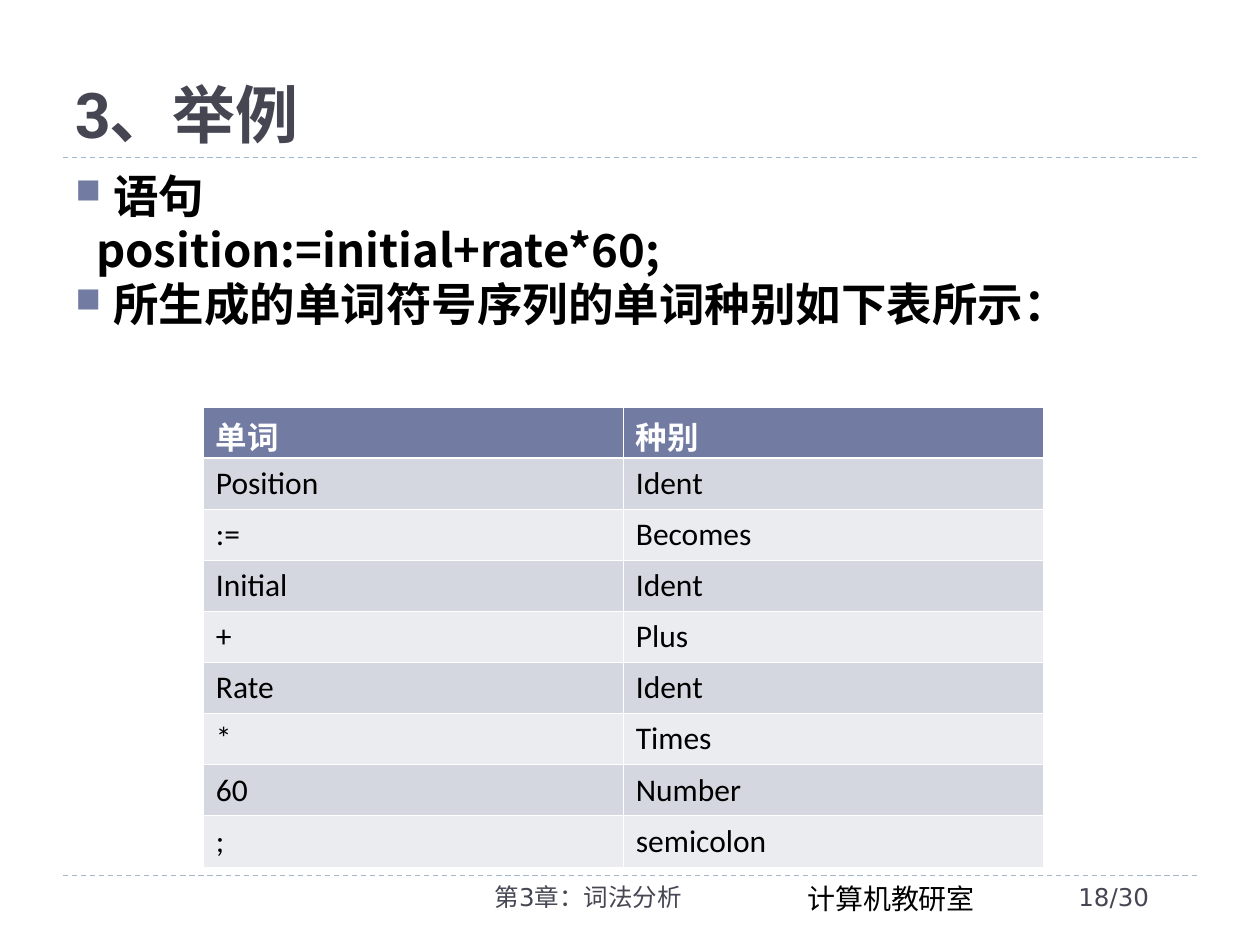
from dataclasses import dataclass

from lxml import etree
from pptx import Presentation
from pptx.dml.color import RGBColor
from pptx.enum.dml import MSO_LINE
from pptx.enum.shapes import MSO_CONNECTOR
from pptx.enum.text import MSO_ANCHOR, MSO_AUTO_SIZE, PP_ALIGN
from pptx.oxml.ns import qn
from pptx.util import Pt

STRAIGHT = MSO_CONNECTOR.STRAIGHT
DASH = MSO_LINE.DASH
BOTTOM = MSO_ANCHOR.BOTTOM
NO_FIT = MSO_AUTO_SIZE.NONE
LEFT, CENTER = PP_ALIGN.LEFT, PP_ALIGN.CENTER

TOKENS = [
    ("单词", "种别"),
    ("Position", "Ident"),
    (":=", "Becomes"),
    ("Initial", "Ident"),
    ("+", "Plus"),
    ("Rate", "Ident"),
    ("*", "Times"),
    ("60", "Number"),
    (";", "semicolon"),
]


@dataclass(frozen=True)
class Theme:
    ink: str = "000000"
    white: str = "FFFFFF"
    muted: str = "464653"
    accent: str = "727CA3"
    rule: str = "9FB8CD"
    bands: tuple = ("D5D7E0", "EBECF0")
    title_size: float = 36
    body_size: float = 26
    cell_size: float = 18
    office_size: float = 16
    footer_size: float = 14
    title_font: str = "Roboto Slab"
    body_font: str = "Noto Sans CJK SC"
    cell_font: str = "Calibri"
    office_font: str = "Times New Roman"
    footer_font: str = "DejaVu Sans"


def write(p, text, *, size, font, color, bold=False, align=LEFT):
    p.alignment = align
    r = p.add_run()
    r.text = text
    r.font.size = Pt(size)
    r.font.name = font
    r.font.bold = bold
    r.font.color.rgb = RGBColor.from_string(color)
    ea = etree.SubElement(r.font._element, qn("a:ea"))
    ea.set("typeface", Theme.body_font)


class SlideBuilder:
    """Adds styled elements to the current slide."""

    def __init__(self, slide, theme):
        self.slide = slide
        self.theme = theme

    def place(self, sp, left, top, width, height):
        sp.left, sp.top, sp.width, sp.height = map(Pt, (left, top, width, height))

    def title(self, text, box):
        t = self.theme
        sp = self.slide.shapes.title
        self.place(sp, *box)
        tf = sp.text_frame
        tf.auto_size = NO_FIT
        tf.vertical_anchor = BOTTOM
        write(tf.paragraphs[0], text, size=t.title_size, font=t.title_font,
              color=t.muted, bold=True)

    def rule(self, y):
        line = self.slide.shapes.add_connector(STRAIGHT, Pt(36), Pt(y), Pt(684), Pt(y))
        line.line.color.rgb = RGBColor.from_string(self.theme.rule)
        line.line.width = Pt(0.75)
        line.line.dash_style = DASH
        etree.SubElement(line._element.spPr, qn("a:effectLst"))

    def text_box(self, box):
        tf = self.slide.shapes.add_textbox(*map(Pt, box)).text_frame
        tf.word_wrap = True
        return tf

    def label(self, text, box, **fmt):
        write(self.text_box(box).paragraphs[0], text, **fmt)

    def body(self, items, box):
        t = self.theme
        tf = self.text_box(box)
        for i, (text, bulleted) in enumerate(items):
            p = tf.add_paragraph() if i else tf.paragraphs[0]
            p.line_spacing = 0.9
            p.space_after = Pt(3)
            write(p, text, size=t.body_size, font=t.body_font, color=t.ink, bold=True)
            self.indent(p, bulleted)

    def indent(self, p, bulleted):
        pPr = p._p.get_or_add_pPr()
        pPr.set("marL", str(Pt(21.6 if bulleted else 12)))
        pPr.set("indent", str(Pt(-21.6 if bulleted else 0)))
        if bulleted:
            clr = etree.SubElement(pPr, qn("a:buClr"))
            etree.SubElement(clr, qn("a:srgbClr")).set("val", self.theme.accent)
            etree.SubElement(pPr, qn("a:buSzPct")).set("val", "76000")
            etree.SubElement(pPr, qn("a:buChar")).set("char", "■")
        else:
            etree.SubElement(pPr, qn("a:buNone"))

    def table(self, rows, box):
        t = self.theme
        shapes = self.slide.shapes
        table = shapes.add_table(len(rows), len(rows[0]), *map(Pt, box)).table
        for i, row in enumerate(rows):
            header = i == 0
            fill = t.accent if header else t.bands[(i - 1) % 2]
            for j, text in enumerate(row):
                cell = table.cell(i, j)
                self.borders(cell, top=1.47 if i == 1 else 0.45,
                             bottom=1.47 if header else 0.45)
                cell.fill.solid()
                cell.fill.fore_color.rgb = RGBColor.from_string(fill)
                write(cell.text_frame.paragraphs[0], text, size=t.cell_size,
                      font=t.cell_font, color=t.white if header else t.ink,
                      bold=header)

    def borders(self, cell, top, bottom):
        tcPr = cell._tc.get_or_add_tcPr()
        for side, width in (("L", 0.45), ("R", 0.45), ("T", top), ("B", bottom)):
            ln = etree.SubElement(tcPr, qn(f"a:ln{side}"))
            ln.set("w", str(Pt(width)))
            fill = etree.SubElement(ln, qn("a:solidFill"))
            etree.SubElement(fill, qn("a:srgbClr")).set("val", self.theme.white)


def main():
    prs = Presentation()
    prs.slide_width, prs.slide_height = Pt(720), Pt(540)
    theme = Theme()
    s = SlideBuilder(prs.slides.add_slide(prs.slide_layouts[5]), theme)
    footer = {"size": theme.footer_size, "font": theme.footer_font, "color": theme.muted}

    for y in (500.4, 90):
        s.rule(y)
    s.label("计算机教研室", (454.3, 500.4, 119.5, 26.6), size=theme.office_size,
            font=theme.office_font, color=theme.ink)
    s.title("3、举例", (36, 12.2, 648, 77.8))
    s.body([
        ("语句", True),
        ("position:=initial+rate*60;", False),
        ("所生成的单词符号序列的单词种别如下表所示：", True),
    ], (36, 95.8, 648, 123))
    s.label("第3章：词法分析", (228.2, 500.4, 216, 28.8), align=CENTER, **footer)
    s.label("18/30", (609.1, 500.4, 82.8, 28.8), **footer)
    s.table(TOKENS, (116.2, 232.6, 480, 262.8))
    prs.save("out.pptx")


if __name__ == "__main__":
    main()
